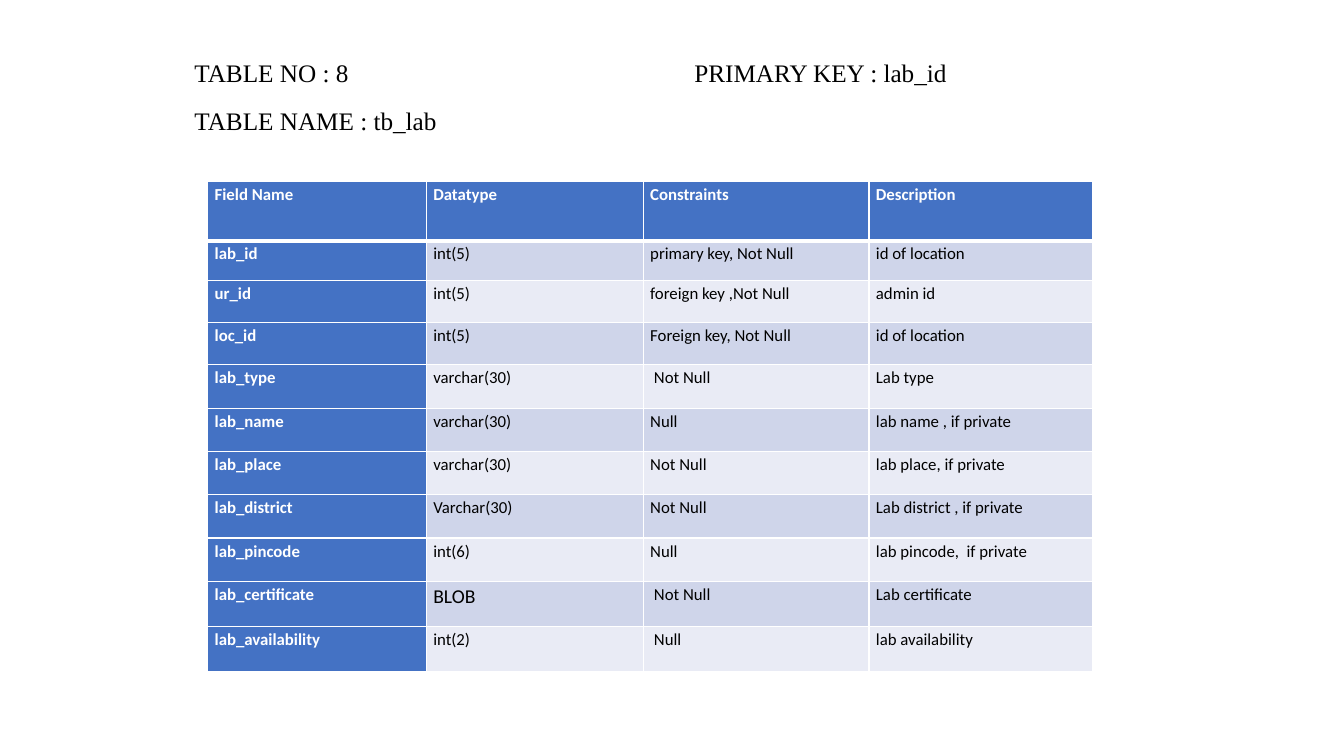
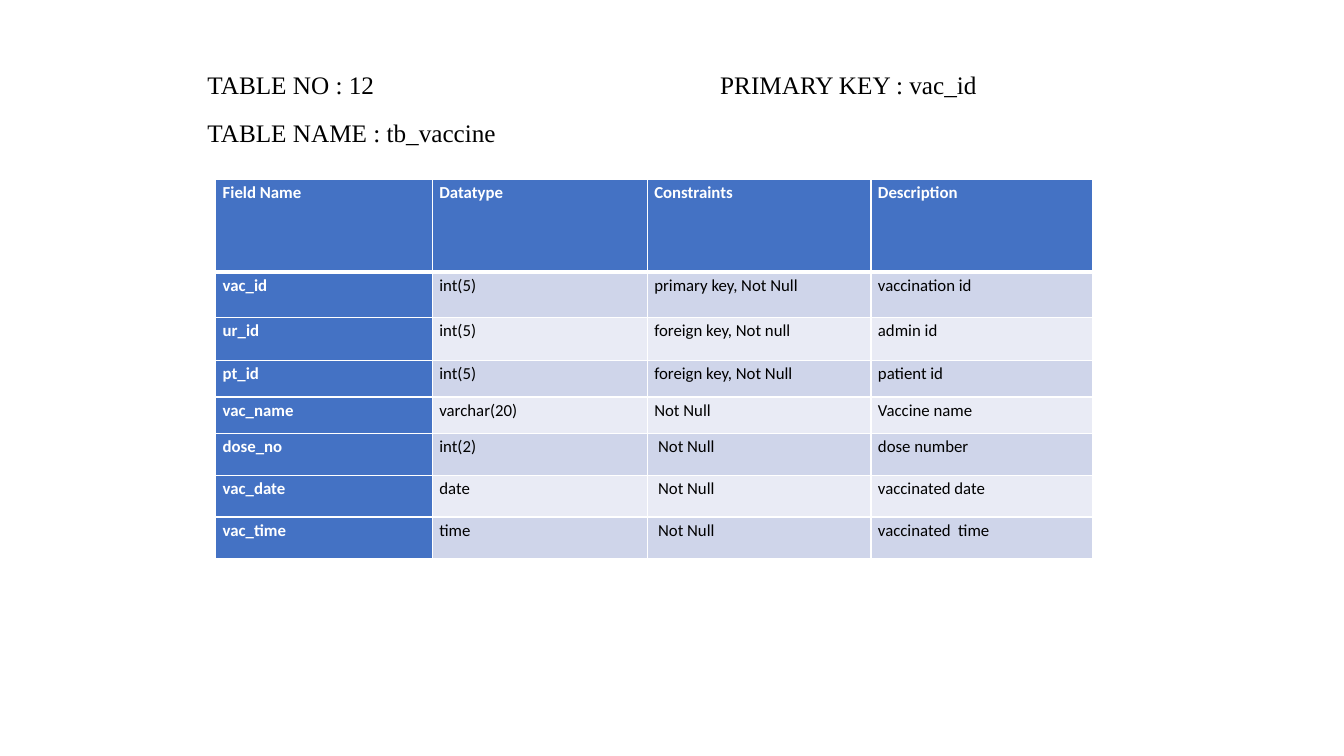
from lxml import etree
from pptx import Presentation
from pptx.dml.color import RGBColor
from pptx.enum.text import MSO_AUTO_SIZE
from pptx.oxml.ns import qn
from pptx.util import Inches, Pt

GROW = MSO_AUTO_SIZE.SHAPE_TO_FIT_TEXT
BLUE, WHITE, BLACK = "4472C4", "FFFFFF", "000000"
BANDS = ["CFD5EA", "E9EBF5"]
COLUMN_SHARES = [0.247, 0.245, 0.255, 0.253]
HEADER = ["Field Name", "Datatype", "Constraints", "Description"]

# Positions are percentages of the slide's width and height.
TABLES = [
    {
        "number": 8, "key": "lab_id", "name": "tb_lab",
        "heading": (13.73, 6.27, 68.94), "key_tab": 37.2,
        "table": (15.45, 24, 65.87),
        "heights": [7.87, 5.2, 5.6, 5.6] + [5.73] * 5 + [6] * 2,
        "fields": [
            ["lab_id", "int(5)", "primary key, Not Null", "id of location"],
            ["ur_id", "int(5)", "foreign key ,Not Null", "admin id"],
            ["loc_id", "int(5)", "Foreign key, Not Null", "id of location"],
            ["lab_type", "varchar(30)", " Not Null", "Lab type"],
            ["lab_name", "varchar(30)", "Null", "lab name , if private"],
            ["lab_place", "varchar(30)", "Not Null", "lab place, if private"],
            ["lab_district", "Varchar(30)", "Not Null", "Lab district , if private"],
            ["lab_pincode", "int(6)", "Null", "lab pincode,  if private"],
            ["lab_certificate", "BLOB", " Not Null", "Lab certificate"],
            ["lab_availability", "int(2)", " Null", "lab availability"],
        ],
    },
    {
        "number": 12, "key": "vac_id", "name": "tb_vaccine",
        "heading": (14.7, 7.87, 60.69), "key_tab": 38.15,
        "table": (16.05, 23.73, 65.27),
        "heights": [12.27, 6, 5.73, 4.8, 4.8, 5.6, 5.47, 5.47],
        "fields": [
            ["vac_id", "int(5)", "primary key, Not Null", "vaccination id"],
            ["ur_id", "int(5)", "foreign key, Not null", "admin id"],
            ["pt_id", "int(5)", "foreign key, Not Null", "patient id"],
            ["vac_name", "varchar(20)", "Not Null", "Vaccine name"],
            ["dose_no", "int(2)", " Not Null", "dose number"],
            ["vac_date", "date", " Not Null", "vaccinated date"],
            ["vac_time", "time", " Not Null", "vaccinated  time"],
        ],
    },
]


def write_text(paragraph, text, font="Calibri", size=12, color=BLACK, bold=False, tab=None):
    """Fill a paragraph; tab is the distance of an optional left tab stop."""
    paragraph.line_spacing = 1.15
    paragraph.space_after = Pt(10)
    if tab:
        tab_list = etree.SubElement(paragraph._p.get_or_add_pPr(), qn("a:tabLst"))
        etree.SubElement(tab_list, qn("a:tab"), pos=str(int(tab)), algn="l")
    run = paragraph.add_run()
    run.text = text
    run.font.name = font
    run.font.size = Pt(size)
    run.font.bold = bold
    run.font.color.rgb = RGBColor.from_string(color)


def style_cell(cell, fill, top=1, bottom=1):
    """Set margins, white borders (widths in points) and fill."""
    cell.margin_left = cell.margin_right = Inches(0.07)
    cell.margin_top = cell.margin_bottom = 0
    properties = cell._tc.get_or_add_tcPr()
    for side, points in {"L": 1, "R": 1, "T": top, "B": bottom}.items():
        line = etree.SubElement(properties, qn(f"a:ln{side}"), w=str(Pt(points)))
        solid = etree.SubElement(line, qn("a:solidFill"))
        etree.SubElement(solid, qn("a:srgbClr"), val=WHITE)
    cell.fill.solid()
    cell.fill.fore_color.rgb = RGBColor.from_string(fill)


presentation = Presentation()
presentation.slide_width = Inches(13.33)
presentation.slide_height = Inches(7.5)
across = presentation.slide_width / 100
down = presentation.slide_height / 100
blank_layout = presentation.slide_layouts[6]

for entry in TABLES:
    slide = presentation.slides.add_slide(blank_layout)

    left, top, width = entry["heading"]
    heading = slide.shapes.add_textbox(
        int(left * across), int(top * down), int(width * across), int(12.5 * down))
    frame = heading.text_frame
    frame.word_wrap = True
    frame.auto_size = GROW
    heading_format = {"font": "Times New Roman", "size": 18}
    write_text(frame.paragraphs[0], f"TABLE NO : {entry['number']}\tPRIMARY KEY : {entry['key']}",
               tab=entry["key_tab"] * across, **heading_format)
    write_text(frame.add_paragraph(), f"TABLE NAME : {entry['name']}", **heading_format)

    left, top, width = entry["table"]
    rows = [HEADER] + entry["fields"]
    table = slide.shapes.add_table(
        len(rows), len(HEADER), int(left * across), int(top * down),
        int(width * across), int(sum(entry["heights"]) * down)).table
    table.first_col = True
    for column, share in zip(table.columns, COLUMN_SHARES):
        column.width = int(share * width * across)
    for row, height in zip(table.rows, entry["heights"]):
        row.height = int(height * down)

    for row_index, texts in enumerate(rows):
        for column_index, text in enumerate(texts):
            cell = table.cell(row_index, column_index)
            is_label = row_index == 0 or column_index == 0
            style_cell(cell, BLUE if is_label else BANDS[(row_index - 1) % 2],
                       top=3 if row_index == 1 else 1, bottom=3 if row_index == 0 else 1)
            write_text(cell.text_frame.paragraphs[0], text, bold=is_label,
                       color=WHITE if is_label else BLACK, size=14 if text == "BLOB" else 12)

presentation.save("out.pptx")
